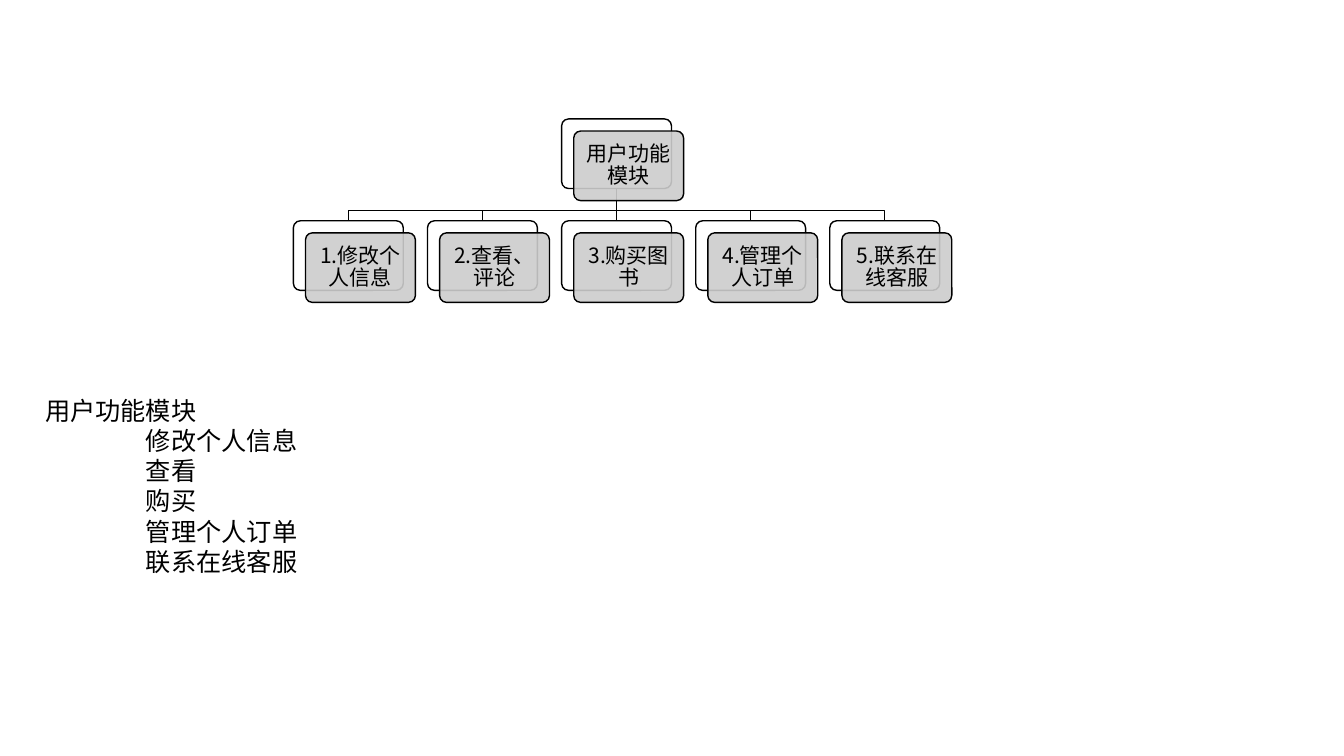
from lxml.etree import SubElement
from pptx import Presentation
from pptx.dml.color import RGBColor
from pptx.enum.shapes import MSO_CONNECTOR, MSO_SHAPE
from pptx.enum.text import MSO_ANCHOR, MSO_AUTO_SIZE, PP_ALIGN
from pptx.oxml.ns import qn
from pptx.util import Inches, Pt

FONT = "Noto Sans CJK SC"
INK = "000000"
# Tree grid in inches: column pitch, card size, shift of the front card
PITCH, CARD_W, CARD_H, SHIFT = 1.33, 1.09, 0.69, 0.12
FIRST_X, ROOT_Y, CHILD_Y, BUS_Y = 2.91, 1.18, 2.19, 2.09
ROOT_COL = 2

root_label = "用户功能模块"
child_labels = ["1.修改个人信息", "2.查看、评论", "3.购买图书",
                "4.管理个人订单", "5.联系在线客服"]
outline = [root_label, "\t修改个人信息", "\t查看", "\t购买",
           "\t管理个人订单", "\t联系在线客服"]


def paint(part, color, alpha=None):
    """Fill (or colour) a fill format with a hex colour and optional opacity."""
    part.solid()
    part.fore_color.rgb = RGBColor.from_string(color)
    if alpha is not None:
        tint = part._xPr.find(qn("a:solidFill"))[0]
        SubElement(tint, qn("a:alpha"), val=str(alpha * 1000))


def write(frame, lines, size=18, align=PP_ALIGN.LEFT, spacing=1.0, tab=None):
    for i, line in enumerate(lines):
        paragraph = frame.paragraphs[0] if i == 0 else frame.add_paragraph()
        if tab is not None:
            stops = SubElement(paragraph._p.get_or_add_pPr(), qn("a:tabLst"))
            SubElement(stops, qn("a:tab"), pos=str(Inches(tab)), algn="l")
        paragraph.alignment, paragraph.line_spacing = align, spacing
        run = paragraph.add_run()
        run.text = line
        run.font.size, run.font.name = Pt(size), FONT
        paint(run.font.fill, INK)
        SubElement(run.font._element, qn("a:ea"), typeface=FONT)


prs = Presentation()
prs.slide_width, prs.slide_height = Inches(13.33), Inches(7.5)
slide = prs.slides.add_slide(prs.slide_layouts[6])
shapes = slide.shapes

# Branches from the root to each child, behind the cards
root_mid = Inches(FIRST_X + ROOT_COL * PITCH + CARD_W / 2)
root_bottom = Inches(ROOT_Y + CARD_H)
bus_y, child_top = Inches(BUS_Y), Inches(CHILD_Y)
for col in range(len(child_labels)):
    child_mid = Inches(FIRST_X + col * PITCH + CARD_W / 2)
    if col == ROOT_COL:
        trunk = branch = shapes.add_connector(
            MSO_CONNECTOR.STRAIGHT, root_mid, root_bottom, root_mid, child_top)
        SubElement(trunk._element.spPr, qn("a:effectLst"))
    else:
        bend = shapes.build_freeform(root_mid, root_bottom)
        bend.add_line_segments([(root_mid, bus_y), (child_mid, bus_y),
                                (child_mid, child_top)], close=False)
        branch = bend.convert_to_shape()
        branch.fill.background()
        branch.shadow.inherit = False
    paint(branch.line.fill, INK)
    branch.line.width = Pt(1)

# Cards: a white back plate and a translucent grey front plate
cards = [(root_label, ROOT_COL, ROOT_Y)]
cards += [(label, col, CHILD_Y) for col, label in enumerate(child_labels)]
back_plates = []
for label, col, top in cards:
    for shift, color, alpha in ((0, "FFFFFF", None), (SHIFT, "CCCCCC", 90)):
        plate = shapes.add_shape(
            MSO_SHAPE.ROUNDED_RECTANGLE,
            Inches(FIRST_X + col * PITCH + shift), Inches(top + shift),
            Inches(CARD_W), Inches(CARD_H))
        plate.adjustments[0] = 0.1
        plate.shadow.inherit = False
        paint(plate.fill, color, alpha)
        paint(plate.line.fill, INK)
        plate.line.width = Pt(1)
        if shift == 0:
            back_plates.append(plate)
    frame = plate.text_frame
    frame.word_wrap = True
    frame.vertical_anchor = MSO_ANCHOR.MIDDLE
    frame.margin_left = frame.margin_right = Inches(0.06)
    frame.margin_top = frame.margin_bottom = Inches(0.06)
    write(frame, [label], size=15, align=PP_ALIGN.CENTER, spacing=0.9)

trunk.begin_connect(back_plates[0], 2)
trunk.end_connect(back_plates[1 + ROOT_COL], 0)

# Outline of the module as plain text
listing = shapes.add_textbox(Inches(0.35), Inches(3.87), Inches(2.73), Inches(1.92))
listing.text_frame.word_wrap = False
listing.text_frame.auto_size = MSO_AUTO_SIZE.SHAPE_TO_FIT_TEXT
write(listing.text_frame, outline, tab=1)

prs.save("out.pptx")
